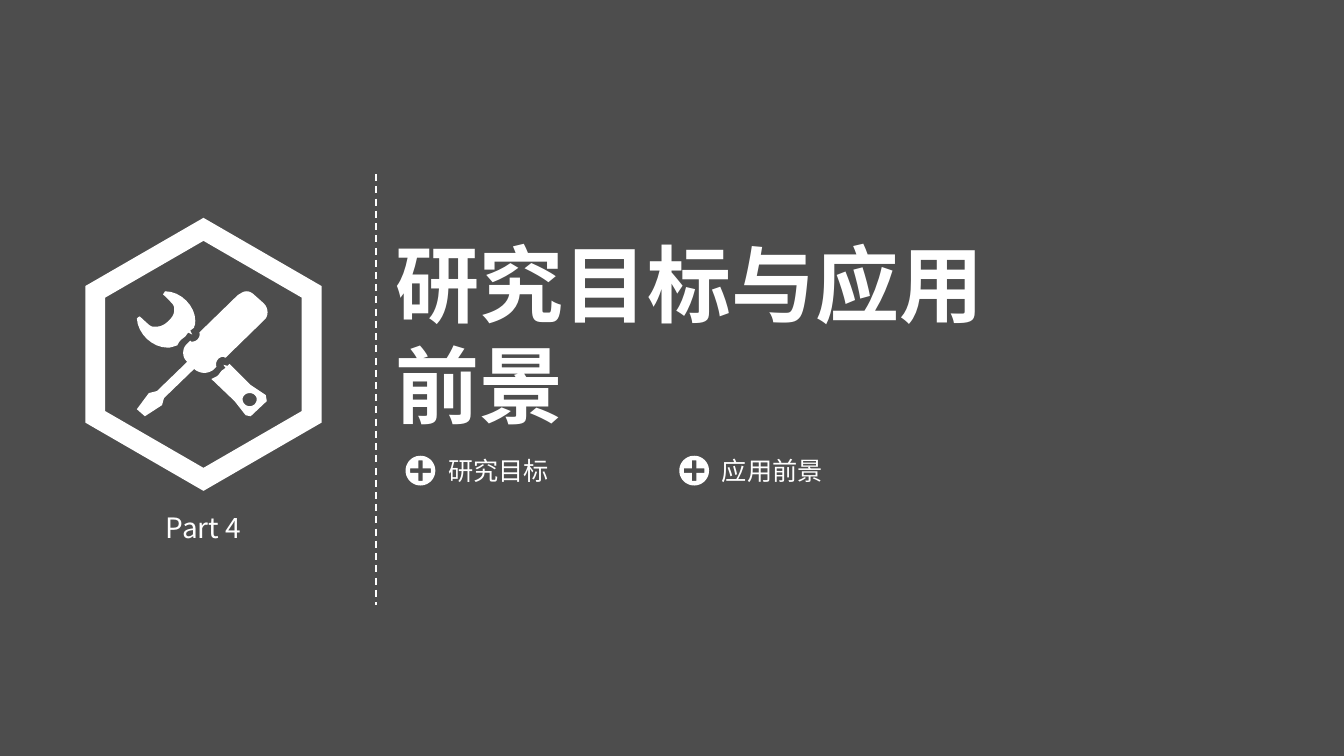
from math import cos, pi, sin

from lxml.etree import SubElement
from pptx import Presentation
from pptx.dml.color import RGBColor
from pptx.enum.dml import MSO_LINE
from pptx.enum.shapes import MSO_CONNECTOR
from pptx.enum.text import MSO_AUTO_SIZE, PP_ALIGN
from pptx.oxml.ns import qn
from pptx.util import Cm, Pt

COLORS = {"background": "4D4D4D", "foreground": "FFFFFF"}
FONT = "Noto Sans CJK SC"

# Tool icon outlines in hundredths of an inch: 2 numbers are a line, 6 a curve
ICON_UNIT = 0.0254
ICON_ORIGIN = (3.45, 7.34)
TOOLS = {
    "handle hole": [
        (112, 101), (116, 101, 119, 104, 119, 107), (119, 111, 116, 114, 112, 114),
        (108, 114, 105, 111, 105, 107), (105, 104, 108, 101, 112, 101)],
    "screwdriver": [
        (126, 12), (117, 4), (115, 2, 112, 0, 109, 0), (106, 0, 103, 2, 100, 4),
        (62, 41), (63, 43, 62, 46, 60, 48), (59, 49, 57, 50, 55, 50),
        (54, 50, 54, 50, 53, 49), (49, 53), (45, 57, 45, 65, 49, 69), (50, 70),
        (20, 99), (12, 101), (0, 117), (8, 124), (25, 113), (27, 106), (57, 77),
        (58, 78), (61, 80, 64, 81, 67, 81), (70, 81, 73, 80, 76, 78), (79, 75),
        (78, 72, 79, 69, 81, 67), (82, 66, 84, 65, 86, 65),
        (87, 65, 87, 66, 88, 66), (126, 29), (131, 25, 131, 17, 126, 12)],
    "wrench head": [
        (48, 45), (51, 41), (55, 43), (53, 39), (57, 36), (57, 35),
        (58, 33, 58, 31, 58, 29), (58, 15, 44, 0, 28, 0), (28, 0, 27, 2, 26, 3),
        (38, 15, 37, 13, 37, 20), (37, 26, 27, 35, 21, 35),
        (13, 35, 16, 37, 3, 25), (2, 25, 0, 27, 0, 27), (1, 42, 15, 56, 31, 56),
        (33, 56, 36, 55, 39, 54), (40, 54), (41, 52, 42, 50, 44, 48)],
    "wrench handle": [
        (86, 73), (88, 76), (84, 79), (81, 83), (79, 85, 76, 86, 74, 87), (97, 109),
        (108, 123), (113, 124), (129, 109), (128, 103), (113, 93), (92, 72), (90, 74)],
}


def flatten(segments, steps=8):
    """Turn lines and cubic curves into one list of points."""
    points = []
    for seg in segments:
        if len(seg) == 2:
            points.append(seg)
            continue
        start = points[-1]
        controls = [start, seg[:2], seg[2:4], seg[4:]]
        for i in range(1, steps + 1):
            t = i / steps
            weights = ((1 - t) ** 3, 3 * t * (1 - t) ** 2, 3 * t * t * (1 - t), t ** 3)
            points.append(tuple(sum(w * c[axis] for w, c in zip(weights, controls))
                                for axis in (0, 1)))
    return points


def polygon(x, y, radius, sides):
    angles = [2 * pi * i / sides - pi / 2 for i in range(sides)]
    return [(x + radius * cos(a), y + radius * sin(a)) for a in angles]


def cross(x, y, arm, half):
    corners = [(-half, -arm), (half, -arm), (half, -half), (arm, -half),
               (arm, half), (half, half), (half, arm), (-half, arm),
               (-half, half), (-arm, half), (-arm, -half), (-half, -half)]
    return [(x + dx, y + dy) for dx, dy in corners]


class SlideBuilder:
    def __init__(self, slide, color, font):
        self.s, self.font = slide, font
        self.color = RGBColor.from_string(color)

    def background(self, color):
        fill = self.s.background.fill
        fill.solid()
        fill.fore_color.rgb = RGBColor.from_string(color)

    def outline(self, contours):
        """Draw closed contours, in cm, as one shape; inner ones are holes."""
        contours = [[(Cm(x), Cm(y)) for x, y in c] for c in contours]
        builder = self.s.shapes.build_freeform(*contours[0][0], scale=1.0)
        for i, contour in enumerate(contours):
            if i:
                builder.move_to(*contour[0])
            builder.add_line_segments(contour[1:], close=True)
        sp = builder.convert_to_shape()
        sp.shadow.inherit = False
        sp.fill.solid()
        sp.fill.fore_color.rgb = self.color
        sp.line.fill.background()

    def text(self, text, x, y, w, h, size, bold=False, align=PP_ALIGN.LEFT):
        tf = self.s.shapes.add_textbox(Cm(x), Cm(y), Cm(w), Cm(h)).text_frame
        tf.word_wrap = True
        tf.auto_size = MSO_AUTO_SIZE.SHAPE_TO_FIT_TEXT
        tf.text = text
        p = tf.paragraphs[0]
        p.alignment = align
        r = p.runs[0]
        r.font.size, r.font.bold, r.font.name = Pt(size), bold, self.font
        r.font.color.rgb = self.color
        SubElement(r.font._element, qn("a:ea")).set("typeface", self.font)

    def dashed_line(self, x1, y1, x2, y2):
        line = self.s.shapes.add_connector(
            MSO_CONNECTOR.STRAIGHT, Cm(x1), Cm(y1), Cm(x2), Cm(y2))
        line.line.color.rgb = self.color
        line.line.width = Pt(1.25)
        line.line.dash_style = MSO_LINE.DASH
        SubElement(line._element.spPr, qn("a:effectLst"))


def main():
    prs = Presentation()
    prs.slide_width, prs.slide_height = Cm(33.88), Cm(19.05)
    s = prs.slides.add_slide(prs.slide_layouts[6])
    b = SlideBuilder(s, COLORS["foreground"], FONT)
    b.background(COLORS["background"])

    # Hexagon badge with part number
    b.outline([polygon(5.13, 8.93, radius, 6) for radius in (3.44, 2.86)])
    b.text("Part 4", 3.63, 12.75, 3, 1.12, 20, align=PP_ALIGN.CENTER)

    # Divider
    b.dashed_line(9.47, 4.39, 9.47, 15.24)

    # Tool icon
    left, top = ICON_ORIGIN
    b.outline([[(left + x * ICON_UNIT, top + y * ICON_UNIT) for x, y in flatten(part)]
               for part in TOOLS.values()])

    # Title
    b.text("研究目标与应用前景", 9.73, 5.74, 16.2, 5.38, 60, bold=True)

    # Topics, each with a plus badge
    for i, (topic, width) in enumerate([("研究目标", 5.41), ("应用前景", 4.17)]):
        x, y = 10.6 + 6.9 * i, 11.86
        b.outline([polygon(x, y, 0.375, 48), cross(x, y, 0.26, 0.055)])
        b.text(topic, x + 0.45, 11.35, width, 1.02, 18)

    prs.save("out.pptx")


if __name__ == "__main__":
    main()
